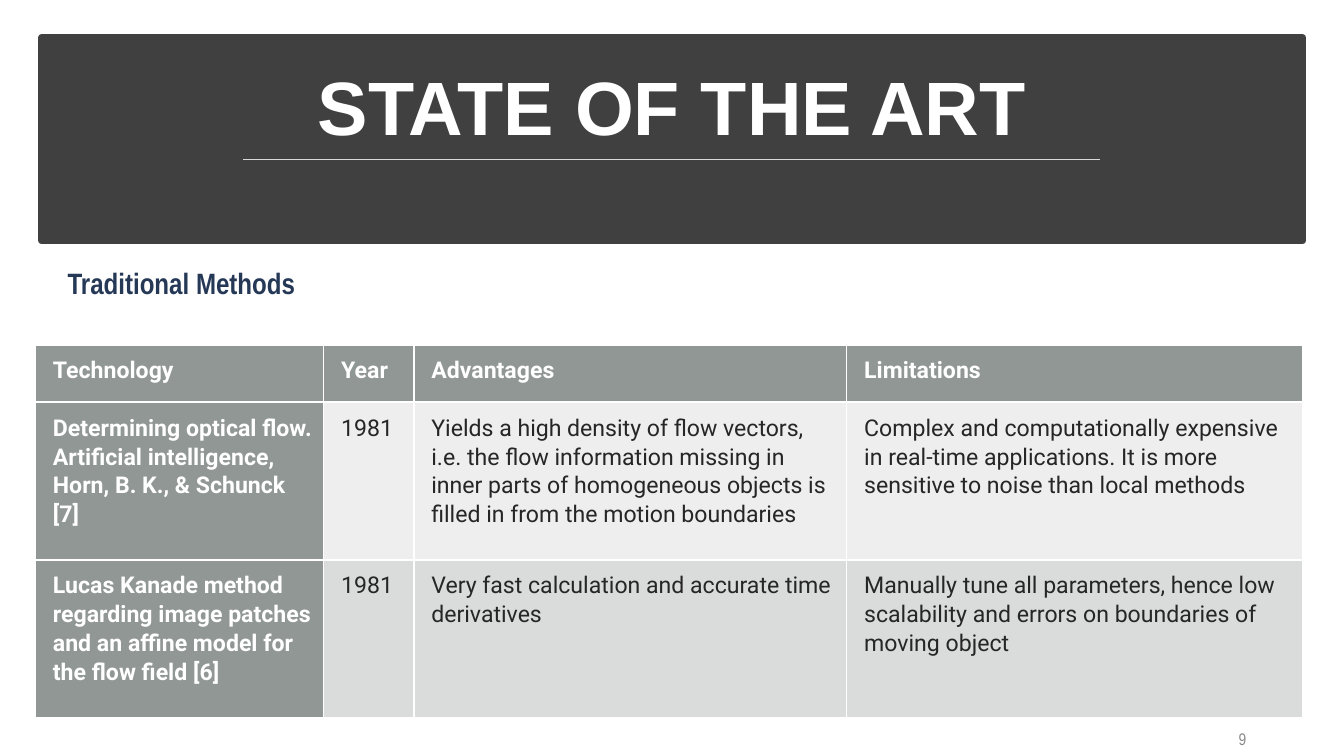
"""Build the State of the Art slide with its table of traditional methods."""
from lxml import etree
from pptx import Presentation
from pptx.dml.color import RGBColor
from pptx.enum.shapes import MSO_CONNECTOR, MSO_SHAPE
from pptx.enum.text import MSO_ANCHOR, MSO_AUTO_SIZE, PP_ALIGN
from pptx.oxml.ns import qn
from pptx.util import Inches, Pt

RECTANGLE, STRAIGHT = MSO_SHAPE.RECTANGLE, MSO_CONNECTOR.STRAIGHT
LEFT, CENTER, RIGHT = PP_ALIGN.LEFT, PP_ALIGN.CENTER, PP_ALIGN.RIGHT
BOTTOM, MIDDLE = MSO_ANCHOR.BOTTOM, MSO_ANCHOR.MIDDLE
NO_AUTOFIT = MSO_AUTO_SIZE.NONE
TITLE_ONLY = 5

TITLE = "STATE OF THE ART"
SUBHEADING = "Traditional Methods"
PAGE_NUMBER = "9"
HEADER = ("Technology", "Year", "Advantages", "Limitations")
METHODS = [
    ("Determining optical flow. Artificial intelligence, Horn, B. K., & Schunck [7]",
     "1981",
     "Yields a high density of flow vectors, i.e. the flow information missing in "
     "inner parts of homogeneous objects is filled in from the motion boundaries",
     "Complex and computationally expensive in real-time applications. "
     "It is more sensitive to noise than local methods"),
    ("Lucas Kanade method\nregarding image patches and an affine model for the flow field [6]",
     "1981",
     "Very fast calculation and accurate time derivatives",
     "Manually tune all parameters, hence low scalability and errors on "
     "boundaries of moving object"),
]
COLUMN_WIDTHS = (5.72, 1.79, 8.59, 9.05)
ROW_HEIGHTS = (1.14, 3.13, 3.13)
CELL_MARGINS = {"margin_left": 0.35, "margin_top": 0.21, "margin_right": 0.21, "margin_bottom": 0.21}

THEME = {
    "title": {"font": "Arial", "size": 108, "color": "FFFFFF", "bold": True},
    "subheading": {"font": "Arial Narrow", "size": 42, "color": "253957", "bold": True},
    "page": {"font": "Arial Narrow", "size": 24, "color": "898989", "bold": False},
    "heading": {"font": "Roboto", "size": 33, "color": "FFFFFF", "bold": True},
    "detail": {"font": "Roboto", "size": 33, "color": "262626", "bold": False},
    "banner": "404040",
    "rule": "D9D9D9",
    "border": "FFFFFF",
    "heading_fill": ("636B68", 70),
    "band_fills": (("878E8B", 15), ("878E8B", 30)),
}


def rgb(value):
    return RGBColor.from_string(value)


def write(frame, text, style, align=LEFT, spacing=None):
    for index, line in enumerate(text.split("\n")):
        paragraph = frame.add_paragraph() if index else frame.paragraphs[0]
        paragraph.alignment = align
        if spacing:
            paragraph.line_spacing = spacing
        run = paragraph.add_run()
        run.text = line
        run.font.name = style["font"]
        run.font.size = Pt(style["size"])
        run.font.bold = style["bold"]
        run.font.color.rgb = rgb(style["color"])


def add_label(slide, box, text, style, align, anchor, margin=None):
    frame = slide.shapes.add_textbox(*map(Inches, box)).text_frame
    frame.word_wrap = True
    frame.vertical_anchor = anchor
    if margin is not None:
        frame.margin_left = frame.margin_right = Inches(margin)
        frame.margin_top = frame.margin_bottom = Inches(margin)
    write(frame, text, style, align)


def add_banner(slide):
    banner = slide.shapes.add_shape(RECTANGLE, *map(Inches, (0.83, 0.75, 25.02, 4.03)))
    banner.shadow.inherit = False
    banner.fill.solid()
    banner.fill.fore_color.rgb = rgb(THEME["banner"])
    banner.line.color.rgb = rgb(THEME["banner"])
    banner.line.width = Pt(10)

    title = slide.shapes.title
    title.element.addprevious(banner.element)
    title.left, title.top, title.width, title.height = map(Inches, (1.15, 1.02, 24.37, 2.04))
    title.text_frame.auto_size = NO_AUTOFIT
    title.text_frame.vertical_anchor = BOTTOM
    write(title.text_frame, TITLE, THEME["title"], CENTER, 0.9)

    rule = slide.shapes.add_connector(STRAIGHT, *map(Inches, (4.83, 3.17, 21.83, 3.17)))
    rule.line.color.rgb = rgb(THEME["rule"])
    rule.line.width = Pt(1.75)
    etree.SubElement(rule.element.spPr, qn("a:effectLst"))


def format_cell(cell, fill):
    for side, margin in CELL_MARGINS.items():
        setattr(cell, side, Inches(margin))
    properties = cell._tc.get_or_add_tcPr()
    for side in ("a:lnL", "a:lnR", "a:lnT", "a:lnB"):
        border = etree.SubElement(properties, qn(side), w=str(Pt(3)))
        solid = etree.SubElement(border, qn("a:solidFill"))
        etree.SubElement(solid, qn("a:srgbClr"), val=THEME["border"])
    color, opacity = fill
    cell.fill.solid()
    cell.fill.fore_color.rgb = rgb(color)
    tint = properties.find(qn("a:solidFill")).find(qn("a:srgbClr"))
    etree.SubElement(tint, qn("a:alpha"), val=str(opacity * 1000))


def add_methods_table(slide):
    rows = [HEADER, *METHODS]
    box = (0.7, 6.84, sum(COLUMN_WIDTHS), sum(ROW_HEIGHTS))
    table = slide.shapes.add_table(len(rows), len(HEADER), *map(Inches, box)).table
    table.horz_banding = False
    for column, width in zip(table.columns, COLUMN_WIDTHS):
        column.width = Inches(width)
    for row, height in zip(table.rows, ROW_HEIGHTS):
        row.height = Inches(height)
    for r, texts in enumerate(rows):
        for c, text in enumerate(texts):
            is_heading = r == 0 or c == 0
            cell = table.cell(r, c)
            format_cell(cell, THEME["heading_fill"] if is_heading else THEME["band_fills"][r - 1])
            write(cell.text_frame, text, THEME["heading" if is_heading else "detail"], spacing=1.07)


def main():
    deck = Presentation()
    deck.slide_width, deck.slide_height = Inches(26.67), Inches(15)
    slide = deck.slides.add_slide(deck.slide_layouts[TITLE_ONLY])
    add_banner(slide)
    add_label(slide, (18.83, 14.27, 6, 0.76), PAGE_NUMBER, THEME["page"], RIGHT, MIDDLE)
    add_methods_table(slide)
    add_label(slide, (1.26, 5.25, 17.58, 0.8), SUBHEADING, THEME["subheading"], LEFT, BOTTOM, 0.08)
    deck.save("out.pptx")


if __name__ == "__main__":
    main()
